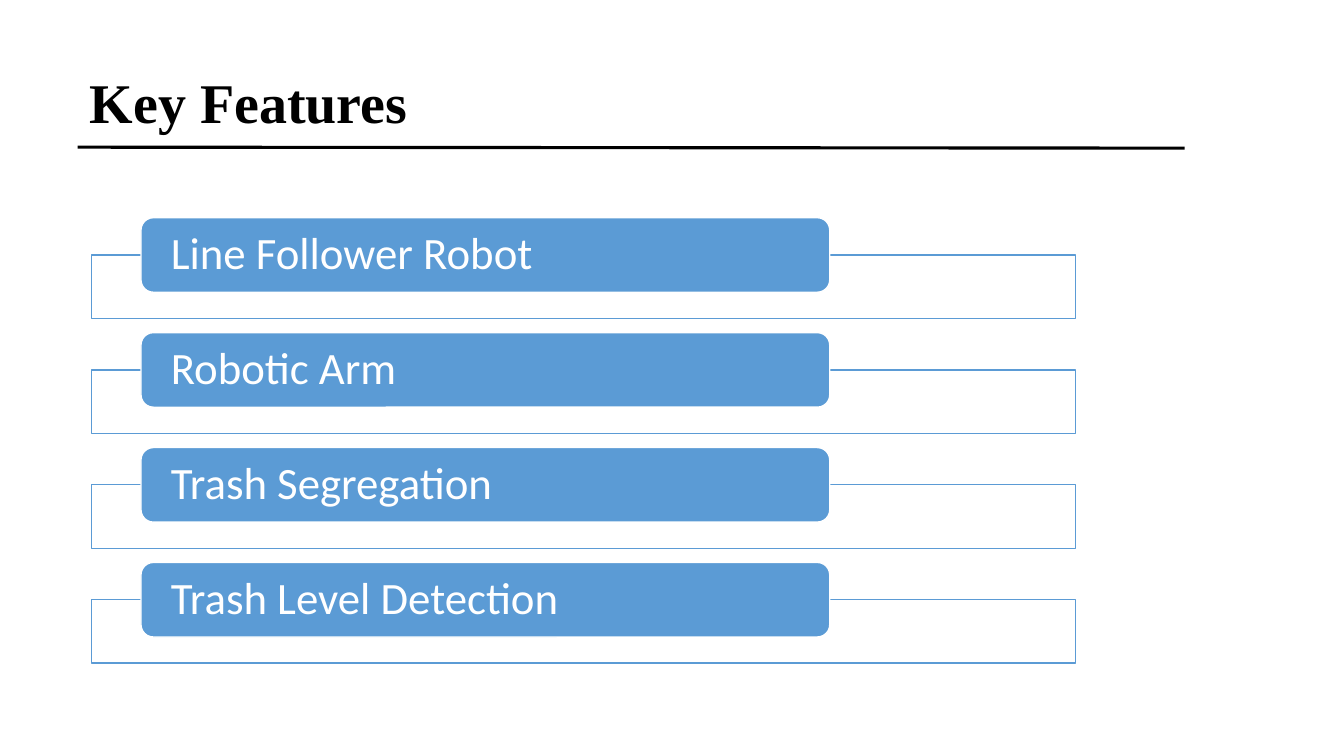
from lxml.etree import SubElement
from pptx import Presentation
from pptx.dml.color import RGBColor
from pptx.enum.shapes import MSO_CONNECTOR, MSO_SHAPE
from pptx.enum.text import MSO_ANCHOR, PP_ALIGN
from pptx.oxml.ns import qn
from pptx.util import Inches, Pt

BLACK = RGBColor(0x00, 0x00, 0x00)
WHITE = RGBColor(0xFF, 0xFF, 0xFF)
BLUE = RGBColor(0x5B, 0x9B, 0xD5)

FEATURES = [
    "Line Follower Robot",
    "Robotic Arm",
    "Trash Segregation",
    "Trash Level Detection",
]


def write(shape, text, font, size, color, bold=False, inset=0.1, spacing=1.0):
    """Put left-aligned, vertically centred text in a shape."""
    frame = shape.text_frame
    frame.word_wrap = True
    frame.vertical_anchor = MSO_ANCHOR.MIDDLE
    frame.margin_left = frame.margin_right = Inches(inset)
    frame.margin_top = frame.margin_bottom = 0
    para = frame.paragraphs[0]
    para.alignment = PP_ALIGN.LEFT
    para.line_spacing = spacing
    run = para.add_run()
    run.text = text
    run.font.name = font
    run.font.size = Pt(size)
    run.font.bold = bold
    run.font.color.rgb = color


def add_box(slide, kind, left, top, width, height, fill, line):
    """Add a filled and outlined shape without a shadow."""
    box = slide.shapes.add_shape(
        kind, Inches(left), Inches(top), Inches(width), Inches(height))
    box.shadow.inherit = False
    box.fill.solid()
    box.fill.fore_color.rgb = fill
    box.line.color.rgb = line
    box.line.width = Pt(1)
    return box


def add_header(slide, left, top, width, height):
    """Place the title and the rule under it."""
    title = slide.shapes.title
    title.left, title.top = Inches(left), Inches(top)
    title.width, title.height = Inches(width), Inches(height)
    write(title, "Key Features", font="Times New Roman", size=40,
          color=BLACK, bold=True)
    base = top + height + 0.07
    rule = slide.shapes.add_connector(
        MSO_CONNECTOR.STRAIGHT, Inches(left - 0.02), Inches(base),
        Inches(left + width + 0.01), Inches(base + 0.01))
    rule.line.color.rgb = BLACK
    rule.line.width = Pt(2.25)
    SubElement(rule._element.spPr, qn("a:effectLst"))


def add_list(slide, left, top, width, height):
    """Stack the features, each a label over an empty frame."""
    label, frame = 0.74, 0.63
    drop = label / 2
    pitch = (height - drop - frame) / (len(FEATURES) - 1)
    for row, text in enumerate(FEATURES):
        y = top + row * pitch
        add_box(slide, MSO_SHAPE.RECTANGLE, left, y + drop, width, frame,
                WHITE, BLUE)
        pill = add_box(slide, MSO_SHAPE.ROUNDED_RECTANGLE, left + width * 0.05,
                       y, width * 0.7, label, BLUE, WHITE)
        write(pill, text, font="Calibri", size=32, color=WHITE,
              inset=0.26, spacing=0.9)


def main():
    """Build and save the slide."""
    deck = Presentation()
    deck.slide_width, deck.slide_height = Inches(13.33), Inches(7.5)
    slide = deck.slides.add_slide(deck.slide_layouts.get_by_name("Title Only"))
    add_header(slide, 0.79, 0.62, 10.95, 0.77)
    add_list(slide, 0.91, 2.16, 9.76, 4.42)
    deck.save("out.pptx")


if __name__ == "__main__":
    main()
